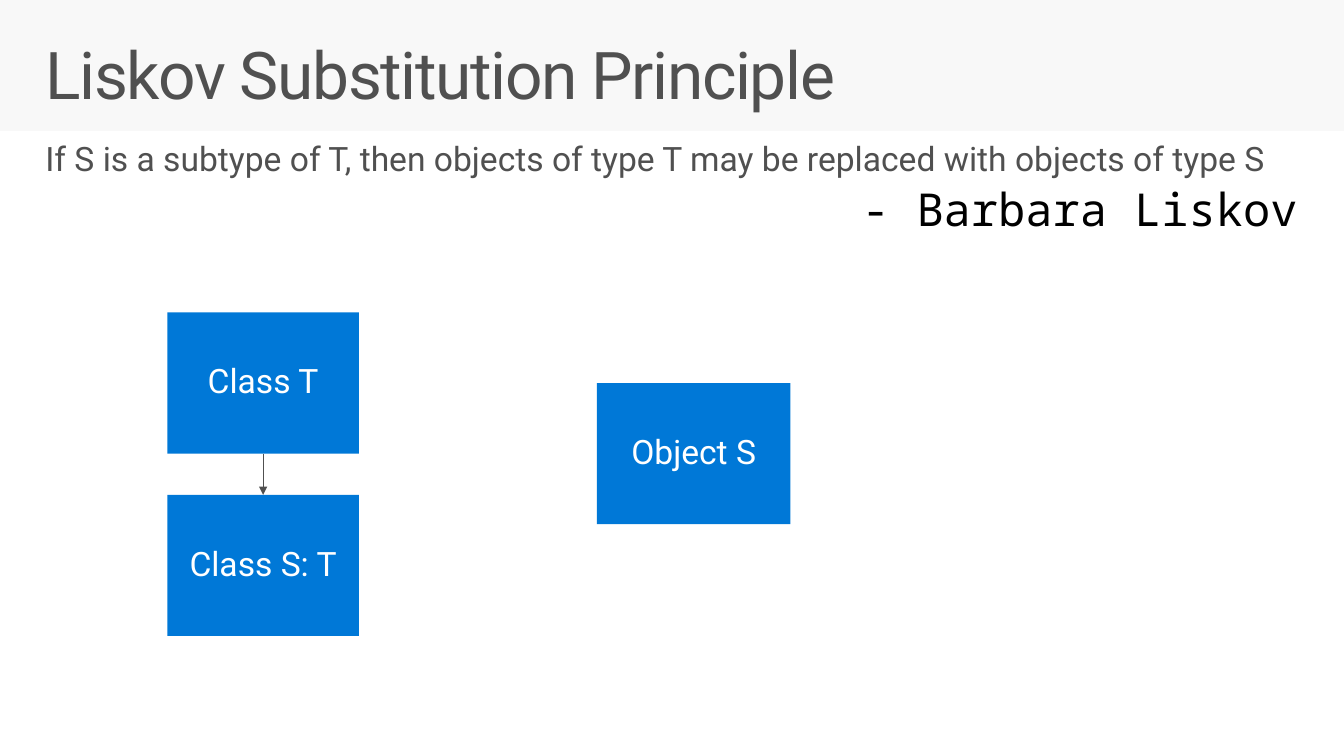
import pptx
import pptx.dml.color
import pptx.enum.shapes
import pptx.enum.text
import pptx.oxml.ns
import pptx.util
from pptx.util import Inches

RGBColor = pptx.dml.color.RGBColor
BACKGROUND = RGBColor(0xF8, 0xF8, 0xF8)
WHITE = RGBColor(0xFF, 0xFF, 0xFF)
BLACK = RGBColor(0x00, 0x00, 0x00)
GRAY = RGBColor(0x50, 0x50, 0x50)
BLUE = RGBColor(0x00, 0x78, 0xD7)

ALIGN = pptx.enum.text.PP_ALIGN
ANCHOR = pptx.enum.text.MSO_ANCHOR
AUTO_SIZE = pptx.enum.text.MSO_AUTO_SIZE


def add_box(slide, left, top, width, height, color):
    sp = slide.shapes.add_shape(
        pptx.enum.shapes.MSO_SHAPE.RECTANGLE,
        Inches(left), Inches(top), Inches(width), Inches(height))
    sp.shadow.inherit = False
    sp.fill.solid()
    sp.fill.fore_color.rgb = color
    sp.line.fill.background()
    return sp


def write(p, text, size, color, align, font="Roboto"):
    p.alignment = align
    p.line_spacing = 0.9
    r = p.add_run()
    r.text = text
    r.font.name = font
    r.font.size = pptx.util.Pt(size)
    r.font.color.rgb = color
    return r


prs = pptx.Presentation()
prs.slide_width = Inches(13.33)
prs.slide_height = Inches(7.5)
slide = prs.slides.add_slide(prs.slide_layouts[1])
slide.background.fill.solid()
slide.background.fill.fore_color.rgb = BACKGROUND

# White content panel, behind everything else
panel = add_box(slide, 0, 1.3, 13.33, 6.2, WHITE)
slide.shapes.element.insert(2, panel.element)

# Title and body placeholders
title, body = slide.placeholders
for sp, top, width, height, fit in (
        (title, 0.32, 12.75, 0.98, AUTO_SIZE.NONE),
        (body, 1.31, 12.74, 1.16, AUTO_SIZE.SHAPE_TO_FIT_TEXT)):
    sp.left, sp.top = Inches(0.29), Inches(top)
    sp.width, sp.height = Inches(width), Inches(height)
    tf = sp.text_frame
    tf.word_wrap = True
    tf.auto_size = fit
    tf.vertical_anchor = ANCHOR.TOP
    tf.margin_left = tf.margin_right = Inches(0.16)
    tf.margin_top = tf.margin_bottom = Inches(0.1)

r = write(title.text_frame.paragraphs[0], "Liskov Substitution Principle",
          47, GRAY, ALIGN.LEFT)
r.font._element.set("spc", "-100")

# Principle and its author
tf = body.text_frame
quote, author = tf.paragraphs[0], tf.add_paragraph()
write(quote, "If S is a subtype of T, then objects of type T may be replaced "
      "with objects of type S", 24, GRAY, ALIGN.LEFT)
write(author, "- Barbara Liskov", 32.4, BLACK, ALIGN.RIGHT, "Noto Sans Mono")
for p, size in ((quote, 24), (author, 32.4)):
    p.space_before = pptx.util.Pt(0.2 * size)
    pPr = p._p.get_or_add_pPr()
    pPr.set("marL", "0")
    pPr.set("indent", "0")
    pPr.append(pptx.oxml.parse_xml(
        "<a:buNone %s/>" % pptx.oxml.ns.nsdecls("a")))

# Class and object boxes
boxes = {}
for text, left, top, width in (
        ("Class T", 1.66, 3.1, 1.9),
        ("Class S: T", 1.66, 4.91, 1.9),
        ("Object S", 5.92, 3.8, 1.92)):
    sp = add_box(slide, left, top, width, 1.4, BLUE)
    tf = sp.text_frame
    tf.word_wrap = True
    tf.vertical_anchor = ANCHOR.MIDDLE
    tf.margin_left = tf.margin_right = Inches(0.2)
    tf.margin_top = tf.margin_bottom = Inches(0.16)
    write(tf.paragraphs[0], text, 24, WHITE, ALIGN.CENTER)
    boxes[text] = sp

# Inheritance arrow
arrow = slide.shapes.add_connector(
    pptx.enum.shapes.MSO_CONNECTOR.STRAIGHT,
    Inches(2.61), Inches(4.5), Inches(2.61), Inches(4.91))
arrow.begin_connect(boxes["Class T"], 2)
arrow.end_connect(boxes["Class S: T"], 0)
arrow.line.color.rgb = GRAY
arrow.line.width = pptx.util.Pt(0.75)
arrow.line._get_or_add_ln().append(pptx.oxml.parse_xml(
    '<a:tailEnd %s type="triangle"/>' % pptx.oxml.ns.nsdecls("a")))
arrow.element.spPr.append(pptx.oxml.parse_xml(
    "<a:effectLst %s/>" % pptx.oxml.ns.nsdecls("a")))

prs.save("out.pptx")
